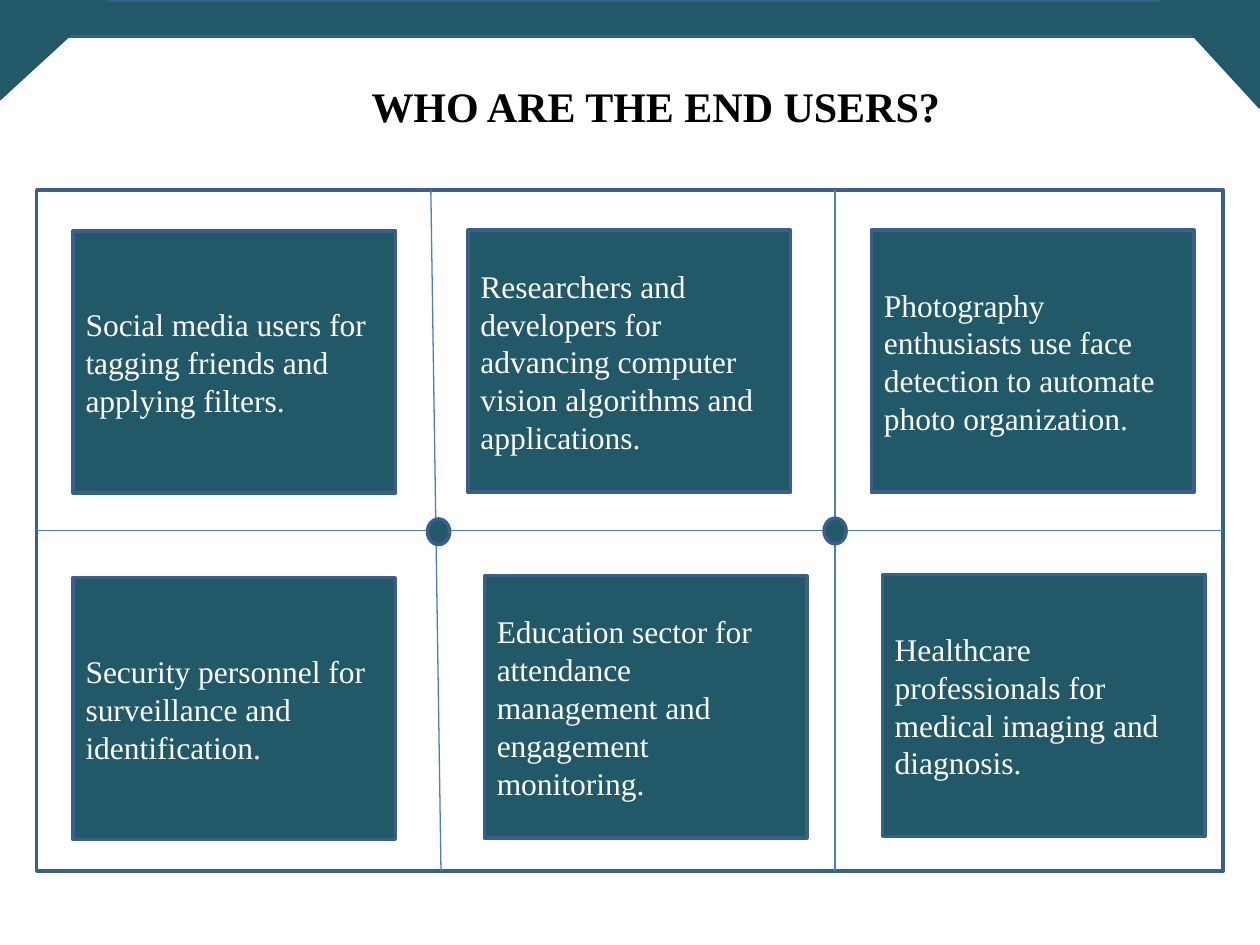
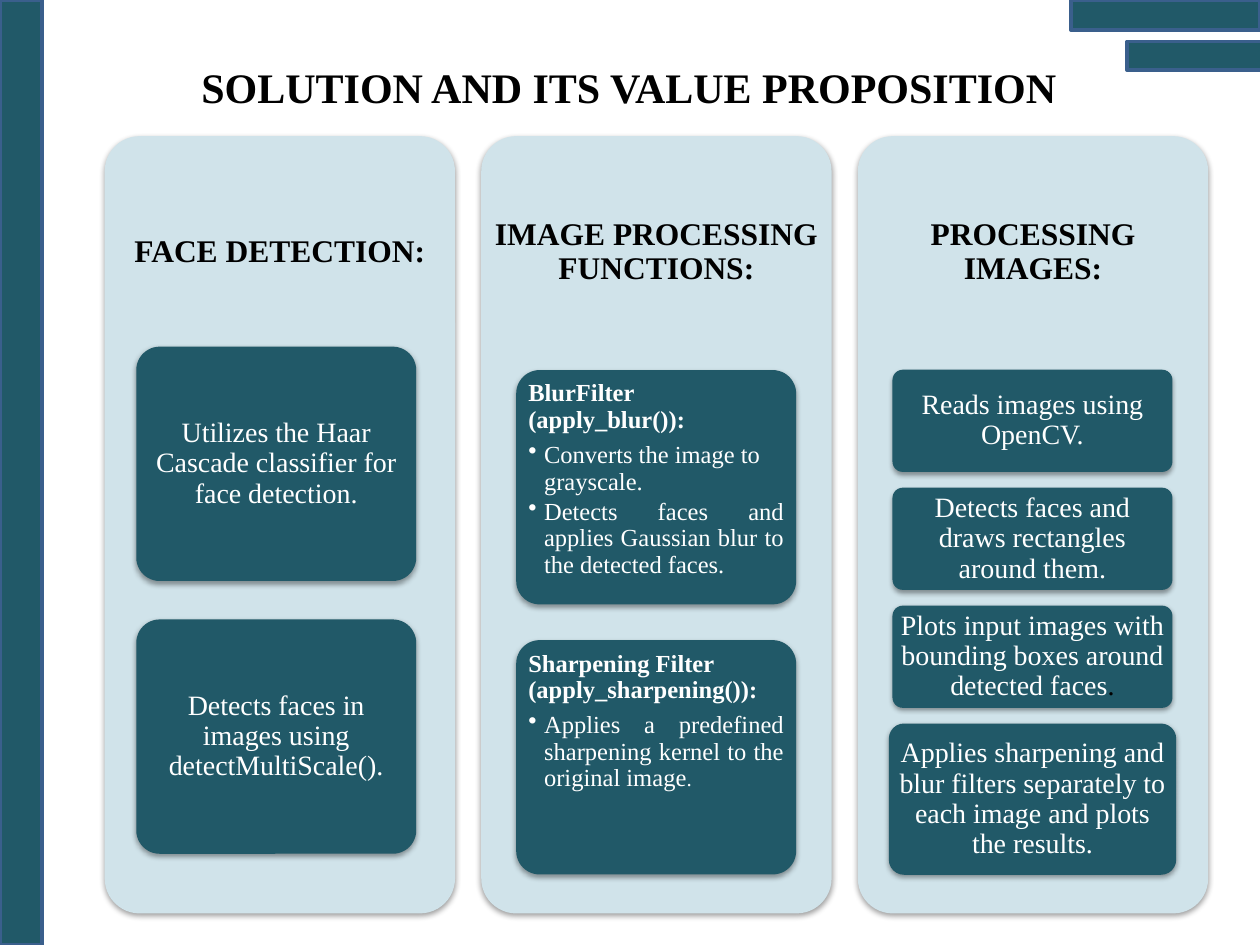
from dataclasses import dataclass

from lxml import etree
from pptx import Presentation
from pptx import util as u
from pptx.dml.color import RGBColor
from pptx.enum import shapes, text
from pptx.oxml import ns

Pt = u.Pt
AUTO = shapes.MSO_SHAPE
ALIGN = text.PP_ALIGN
ANCHOR = text.MSO_ANCHOR


@dataclass(frozen=True)
class Theme:
    font: str = "Times New Roman"
    teal: str = "215968"
    pale: str = "D0E3EA"
    outline: str = "3A5F8C"
    divider: str = "4B7EBC"
    black: str = "000000"
    white: str = "FFFFFF"
    title_size: float = 24
    heading_size: float = 18
    card_size: float = 16
    detail_size: float = 14
    small_size: float = 12
    outline_width: float = 2
    divider_width: float = 0.75


THEME = Theme()
SLIDE_WIDTH, SLIDE_HEIGHT = 720, 540

# Slide 1: (left, top, text) of each user card
USERS_TITLE = ("WHO ARE THE END USERS?", (205.2, 42.5, 342.8, 36))
USER_CARD_SIZE = (184.3, 149.8)
USER_CARDS = [
    (41.8, 131.9, "Social media users for tagging friends and applying filters."),
    (267.5, 131.5, "Researchers and developers for advancing computer vision algorithms and applications."),
    (498, 131.5, "Photography enthusiasts use face detection to automate photo organization."),
    (41.8, 330, "Security personnel for surveillance and identification."),
    (276.8, 329, "Education sector for attendance management and engagement monitoring."),
    (504.2, 328.3, "Healthcare professionals for medical imaging and diagnosis."),
]
FRAME = (21, 108.7, 678, 389)
DIVIDERS = [
    ((246.2, 108.7), (252, 498)),
    ((477.2, 108.7), (477.2, 498)),
    ((21, 303.2), (699, 303.2)),
]
DOT_SIZE = (12.6, 14.6)
DOT_CENTRES = [(250.6, 303.9), (477.2, 303.4)]

# Slide 2: a card is a list of paragraphs, (style, *runs); a run is text or (text, changes)
SOLUTION_TITLE = ("SOLUTION AND ITS VALUE PROPOSITION", (108, 31.7, 558, 36))
PANEL_LEFT, PANEL_STEP = 59.8, 215.2
PANEL_TOP, PANEL_WIDTH, PANEL_HEIGHT = 77.8, 200.2, 444.2
HEADING_HEIGHT = 133.2
TALL_CARD = (160, 133.9)
SHORT_CARD = (160, 58.4)
LAST_CARD = (164.2, 86.4)
COLUMNS = [
    ("FACE DETECTION:", 77.9, 198.1, 22, [
        (TALL_CARD, [("centred", "Utilizes the Haar Cascade classifier for face detection.")]),
        (TALL_CARD, [("centred", "Detects faces in images using detectMultiScale().")]),
    ]),
    ("IMAGE PROCESSING FUNCTIONS:", 295, 211.5, 20.4, [
        (TALL_CARD, [
            ("lead", "BlurFilter (apply_blur()):"),
            ("bullet", "Converts the image to grayscale."),
            ("justified bullet", "Detects faces and applies Gaussian blur to the detected faces."),
        ]),
        (TALL_CARD, [
            ("lead", "Sharpening Filter (apply_sharpening()):"),
            ("justified bullet", "Applies a predefined sharpening kernel to the original image",
             (".", {"size": THEME.small_size})),
        ]),
    ]),
    ("PROCESSING IMAGES:", 510, 211.3, 9, [
        (SHORT_CARD, [("centred", "Reads images using OpenCV.")]),
        (SHORT_CARD, [("centred", "Detects faces and draws rectangles around them.")]),
        (SHORT_CARD, [("centred", "Plots input images with bounding boxes around detected faces",
                       (".", {"color": THEME.black}))]),
        (LAST_CARD, [("centred", "Applies sharpening and blur filters separately to each image "
                                 "and plots the results.")]),
    ]),
]
# style: (alignment, size, bold, bulleted)
PARAGRAPH_STYLES = {
    "centred": (ALIGN.CENTER, THEME.card_size, False, False),
    "lead": (ALIGN.LEFT, THEME.detail_size, True, False),
    "bullet": (ALIGN.LEFT, THEME.detail_size, False, True),
    "justified bullet": (ALIGN.JUSTIFY, THEME.detail_size, False, True),
}
SIDE_BANDS = [(0, 0, 24, SLIDE_HEIGHT), (612, 0, 108, 17.3), (644, 23.8, 77.8, 16.2)]


def points(values):
    return [Pt(value) for value in values]


def add_run(paragraph, words, size, color, bold=False):
    run = paragraph.add_run()
    run.text = words
    run.font.name = THEME.font
    run.font.size = Pt(size)
    run.font.bold = bold
    run.font.color.rgb = RGBColor.from_string(color)


def set_frame(shape, anchor, insets=(7.2, 3.6)):
    frame = shape.text_frame
    frame.word_wrap = True
    frame.vertical_anchor = anchor
    frame.margin_left = frame.margin_right = Pt(insets[0])
    frame.margin_top = frame.margin_bottom = Pt(insets[1])
    return frame


def add_box(slide, kind, bounds, fill=THEME.teal, line=THEME.outline):
    shape = slide.shapes.add_shape(kind, *points(bounds))
    shape.shadow.inherit = False
    if fill:
        shape.fill.solid()
        shape.fill.fore_color.rgb = RGBColor.from_string(fill)
    else:
        shape.fill.background()
    if line:
        shape.line.color.rgb = RGBColor.from_string(line)
        shape.line.width = Pt(THEME.outline_width)
    else:
        shape.line.fill.background()
    return shape


def add_soft_box(slide, bounds, fill):
    """Rounded, unlined box with a soft shadow below it."""
    shape = add_box(slide, AUTO.ROUNDED_RECTANGLE, bounds, fill, None)
    shape.adjustments[0] = 0.1
    effects = shape._element.spPr.find(ns.qn("a:effectLst"))
    shadow = etree.SubElement(effects, ns.qn("a:outerShdw"), blurRad=str(Pt(3.1)),
                              dist=str(Pt(1.6)), dir="5400000", rotWithShape="0")
    color = etree.SubElement(shadow, ns.qn("a:srgbClr"), val=THEME.black)
    etree.SubElement(color, ns.qn("a:alpha"), val="38000")
    return shape


def add_title(slide, words, bounds):
    box = slide.shapes.add_textbox(*points(bounds))
    frame = set_frame(box, ANCHOR.TOP)
    add_run(frame.paragraphs[0], words, THEME.title_size, THEME.black, True)


def add_divider(slide, start, end):
    line = slide.shapes.add_connector(shapes.MSO_CONNECTOR.STRAIGHT, *points(start + end))
    line.line.color.rgb = RGBColor.from_string(THEME.divider)
    line.line.width = Pt(THEME.divider_width)
    etree.SubElement(line._element.spPr, ns.qn("a:effectLst"))


def space_paragraph(paragraph, alignment, size, share=0.35):
    paragraph.alignment = alignment
    paragraph.line_spacing = 0.9
    paragraph.space_after = Pt(size * share)


def add_bullet(paragraph):
    properties = paragraph._p.get_or_add_pPr()
    properties.set("marL", str(Pt(9)))
    properties.set("indent", str(-Pt(9)))
    etree.SubElement(properties, ns.qn("a:buChar"), char="•")


def fill_card(shape, paragraphs):
    centred = paragraphs[0][0] == "centred"
    frame = set_frame(shape, ANCHOR.MIDDLE if centred else ANCHOR.TOP, (3, 2.2))
    for index, (style, *runs) in enumerate(paragraphs):
        paragraph = frame.add_paragraph() if index else frame.paragraphs[0]
        alignment, size, bold, bulleted = PARAGRAPH_STYLES[style]
        space_paragraph(paragraph, alignment, size, 0.15 if bulleted else 0.35)
        if bulleted:
            add_bullet(paragraph)
        for run in runs:
            words, changes = (run, {}) if isinstance(run, str) else run
            add_run(paragraph, words, **{"size": size, "color": THEME.white, "bold": bold, **changes})


def add_column(slide, index, heading, card_left, top, gap, cards):
    left = PANEL_LEFT + index * PANEL_STEP
    add_soft_box(slide, (left, PANEL_TOP, PANEL_WIDTH, PANEL_HEIGHT), THEME.pale)
    box = slide.shapes.add_textbox(*points((left, PANEL_TOP, PANEL_WIDTH, HEADING_HEIGHT)))
    paragraph = set_frame(box, ANCHOR.MIDDLE, (5, 5)).paragraphs[0]
    space_paragraph(paragraph, ALIGN.CENTER, THEME.heading_size)
    add_run(paragraph, heading, THEME.heading_size, THEME.black, True)
    for (width, height), paragraphs in cards:
        centred_left = card_left + (TALL_CARD[0] - width) / 2
        card = add_soft_box(slide, (centred_left, top, width, height), THEME.teal)
        fill_card(card, paragraphs)
        top += height + gap


def build_users(slide):
    add_title(slide, *USERS_TITLE)
    add_box(slide, AUTO.RECTANGLE, (0, 0, SLIDE_WIDTH, 21))
    for left, top, rotation in [(2.2, -2.2, 90), (663.8, 0, 180)]:
        corner = add_box(slide, AUTO.RIGHT_TRIANGLE, (left, top, 56.2, 61.2), line=THEME.teal)
        corner.rotation = rotation
    for left, top, words in USER_CARDS:
        card = add_box(slide, AUTO.RECTANGLE, (left, top, *USER_CARD_SIZE))
        paragraph = set_frame(card, ANCHOR.MIDDLE).paragraphs[0]
        paragraph.alignment = ALIGN.LEFT
        add_run(paragraph, words, THEME.heading_size, THEME.white)
    add_box(slide, AUTO.FLOWCHART_PROCESS, FRAME, fill=None)
    for start, end in DIVIDERS:
        add_divider(slide, start, end)
    width, height = DOT_SIZE
    for x, y in DOT_CENTRES:
        add_box(slide, AUTO.OVAL, (x - width / 2, y - height / 2, width, height))


def build_solution(slide):
    add_title(slide, *SOLUTION_TITLE)
    for index, column in enumerate(COLUMNS):
        add_column(slide, index, *column)
    for bounds in SIDE_BANDS:
        add_box(slide, AUTO.RECTANGLE, bounds)


def main():
    presentation = Presentation()
    presentation.slide_width, presentation.slide_height = points((SLIDE_WIDTH, SLIDE_HEIGHT))
    for build in (build_users, build_solution):
        build(presentation.slides.add_slide(presentation.slide_layouts[6]))
    presentation.save("out.pptx")


if __name__ == "__main__":
    main()
